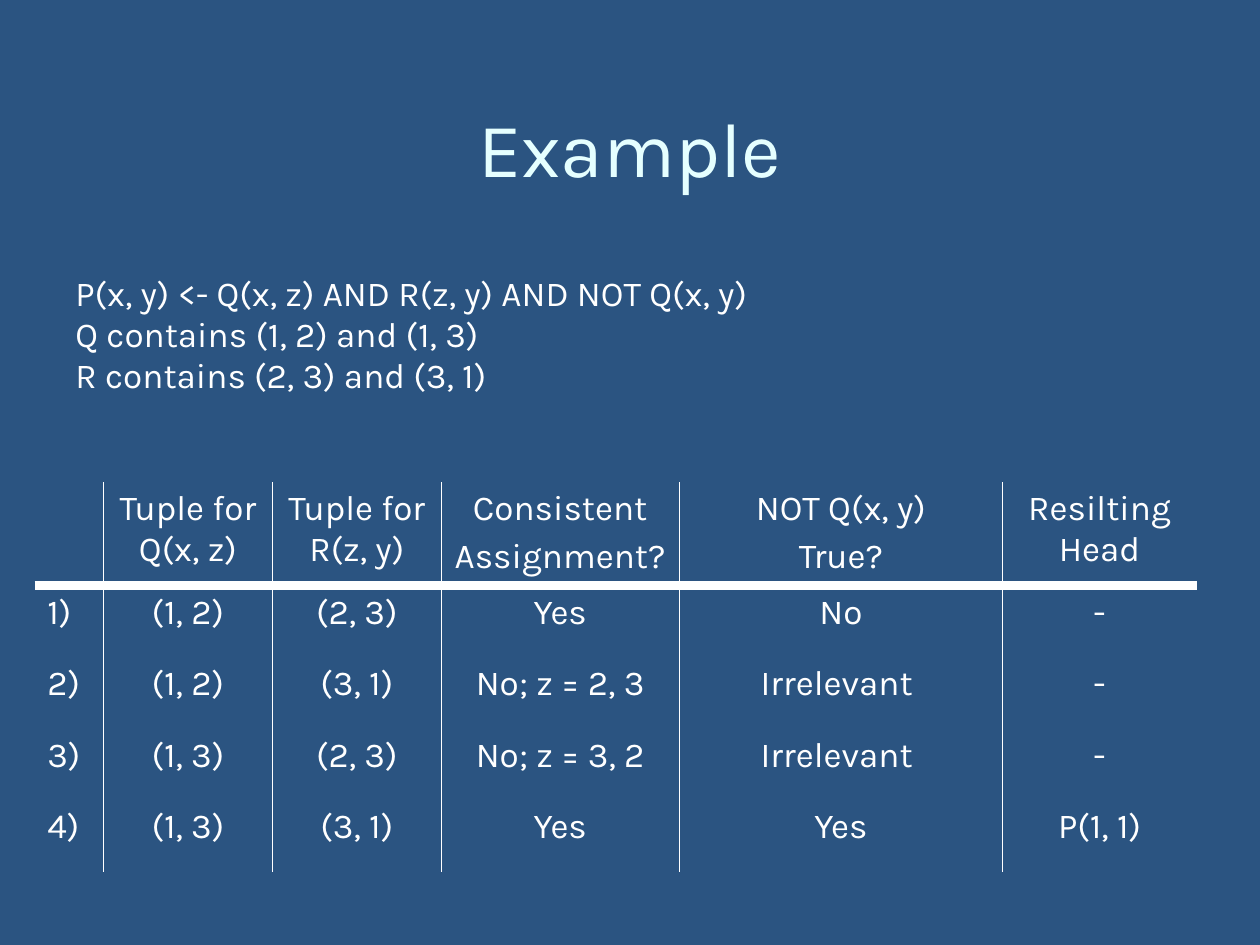
from lxml import etree
from pptx import Presentation
from pptx.dml.color import RGBColor
from pptx.enum.text import MSO_ANCHOR, PP_ALIGN
from pptx.oxml.ns import qn
from pptx.util import Pt

CENTER, LEFT = PP_ALIGN.CENTER, PP_ALIGN.LEFT
TOP, MIDDLE = MSO_ANCHOR.TOP, MSO_ANCHOR.MIDDLE
NAVY = RGBColor(0x2B, 0x54, 0x81)
ICE = RGBColor(0xE5, 0xFF, 0xFF)
WHITE = RGBColor(0xFF, 0xFF, 0xFF)
FONT = "Karla"

# Content: a cell holds one paragraph per line
TITLE = "Example"
RULES = [
    "P(x, y) <- Q(x, z) AND R(z, y) AND NOT Q(x, y)",
    "Q contains (1, 2) and (1, 3)",
    "R contains (2, 3) and (3, 1)",
]
ROWS = [
    ["", "Tuple for Q(x, z)", "Tuple for R(z, y)", "Consistent\nAssignment?",
     "NOT Q(x, y)\nTrue?", "Resilting Head"],
    ["1)", "(1, 2)", "(2, 3)", "Yes", "No", "-"],
    ["2)", "(1, 2)", "(3, 1)", "No; z = 2, 3", "Irrelevant ", "-"],
    ["3)", "(1, 3)", "(2, 3)", "No; z = 3, 2", "Irrelevant ", "-"],
    ["4)", "(1, 3)", "(3, 1)", "Yes", "Yes", "P(1, 1)"],
]
COLUMN_WIDTHS = [39.4, 96.5, 96.5, 136, 184.8, 110.8]
HEADER_HEIGHT, ROW_HEIGHT = 58, 40.9
TABLE_LEFT, TABLE_TOP = 19.8, 275.5
THIN, THICK = 1, 6


def write(frame, lines, size, color, align, gap=4, spacing=None):
    for index, line in enumerate(lines):
        para = frame.paragraphs[0] if index == 0 else frame.add_paragraph()
        para.text = line
        para.alignment = align
        para.space_before = Pt(gap if index else 0)
        if spacing:
            para.line_spacing = spacing
        para.font.name, para.font.size = FONT, Pt(size)
        para.font.color.rgb = color


def add_text(page, bounds, lines, size, color, align, anchor, **spacing):
    box = page.shapes.add_textbox(*(Pt(length) for length in bounds))
    box.text_frame.word_wrap = True
    box.text_frame.vertical_anchor = anchor
    write(box.text_frame, lines, size, color, align, **spacing)


def set_borders(cell, widths):
    """Draw the sides given in widths and clear the others."""
    properties = cell._tc.get_or_add_tcPr()
    for index, side in enumerate(("lnL", "lnR", "lnT", "lnB")):
        line = etree.Element(qn(f"a:{side}"))
        if side in widths:
            line.set("w", str(Pt(widths[side])))
            fill = etree.SubElement(line, qn("a:solidFill"))
            etree.SubElement(fill, qn("a:srgbClr"), val=str(WHITE))
        else:
            etree.SubElement(line, qn("a:noFill"))
        properties.insert(index, line)


def add_grid(page):
    height = HEADER_HEIGHT + ROW_HEIGHT * (len(ROWS) - 1)
    table = page.shapes.add_table(
        len(ROWS), len(COLUMN_WIDTHS), Pt(TABLE_LEFT), Pt(TABLE_TOP),
        Pt(sum(COLUMN_WIDTHS)), Pt(height)).table
    table.first_row = table.horz_banding = False
    for column, width in zip(table.columns, COLUMN_WIDTHS):
        column.width = Pt(width)
    for r, texts in enumerate(ROWS):
        table.rows[r].height = Pt(ROW_HEIGHT if r else HEADER_HEIGHT)
        for c, text in enumerate(texts):
            cell = table.cell(r, c)
            cell.fill.background()
            write(cell.text_frame, text.split("\n"), 20, WHITE,
                  CENTER if c else LEFT)
            # Thin rules between columns, a thick one under the header
            widths = {}
            if c > 0:
                widths["lnL"] = THIN
            if c < len(texts) - 1:
                widths["lnR"] = THIN
            if r == 0:
                widths["lnB"] = THICK
            if r == 1:
                widths["lnT"] = THICK
            set_borders(cell, widths)


def main():
    deck = Presentation()
    deck.slide_width, deck.slide_height = Pt(720), Pt(540)
    page = deck.slides.add_slide(deck.slide_layouts[6])
    page.background.fill.solid()
    page.background.fill.fore_color.rgb = NAVY

    # Title and rules above the table
    add_text(page, (36, 30, 648, 108), [TITLE], 44, ICE, CENTER, MIDDLE)
    add_text(page, (36, 156, 684, 80), RULES, 20, WHITE, LEFT, TOP,
             gap=4.4, spacing=0.8)
    add_grid(page)
    deck.save("out.pptx")


if __name__ == "__main__":
    main()
